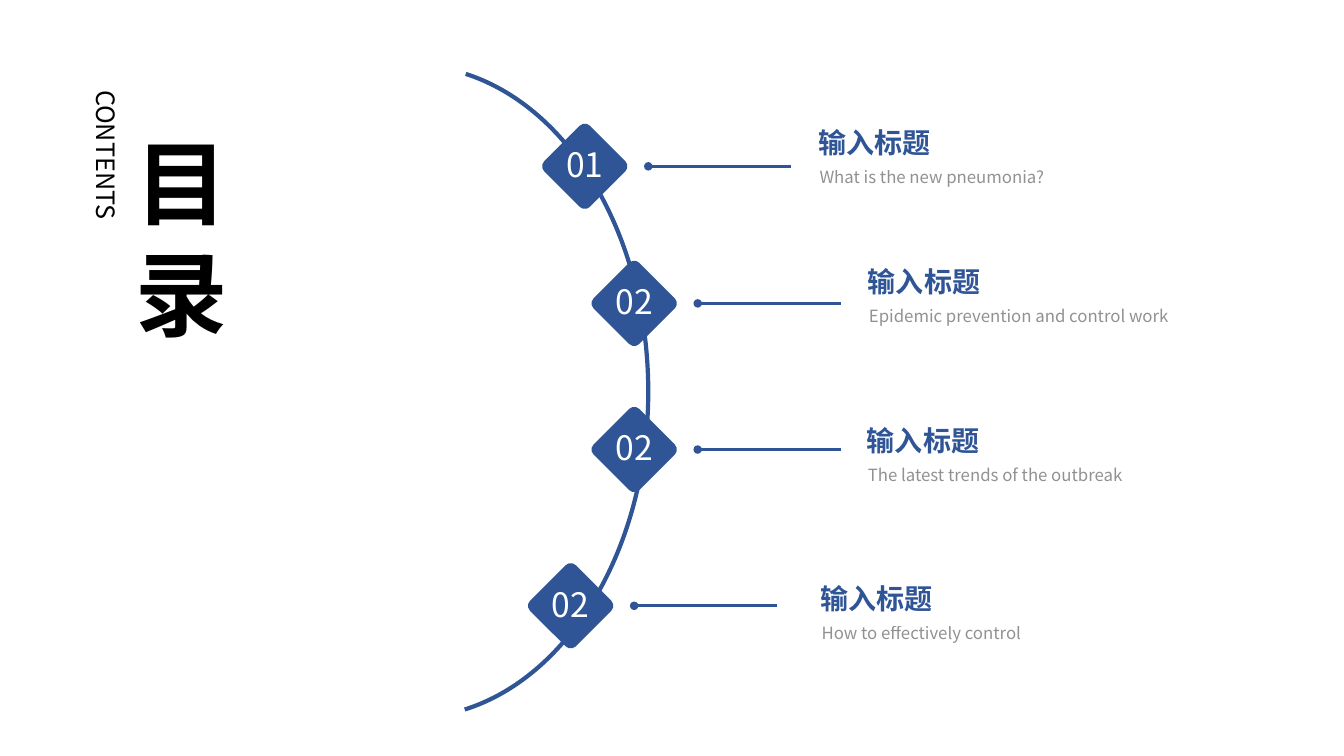
from dataclasses import dataclass

from lxml import etree
from pptx import Presentation
from pptx.dml.color import RGBColor
from pptx.enum.shapes import MSO_CONNECTOR, MSO_SHAPE
from pptx.enum.text import PP_ALIGN
from pptx.oxml.ns import qn
from pptx.slide import Slide
from pptx.util import Pt

PX = 9144
FONT = "Noto Sans CJK SC"
BLUE, GRAY, BLACK, WHITE = "2F5597", "808080", "000000", "FFFFFF"
ARC, DIAMOND = MSO_SHAPE.ARC, MSO_SHAPE.ROUNDED_RECTANGLE
STRAIGHT = MSO_CONNECTOR.STRAIGHT
LEFT, CENTER = PP_ALIGN.LEFT, PP_ALIGN.CENTER
DIAMOND_SIDE = 64
LEADER_START, LEADER_END = 63, 205


@dataclass(frozen=True)
class Chapter:
    """One entry, with the centre of its diamond and the corner of its title."""

    number: str
    subtitle: str
    x: int
    y: int
    title_x: int
    title_y: int
    title: str = "输入标题"


@dataclass(frozen=True)
class Style:
    """The look of a text."""

    size: int
    color: str
    bold: bool = False
    align: PP_ALIGN = LEFT
    opacity: int = 100
    wrap: bool = False


NUMBER = Style(24, WHITE, align=CENTER)
TITLE = Style(20, BLUE, bold=True)
SUBTITLE = Style(12, GRAY, opacity=86, wrap=True)
HEADING = Style(66, BLACK, bold=True)
CAPTION = Style(18, BLACK, wrap=True)

CHAPTERS = [
    Chapter("01", "What is the new pneumonia?", 580, 165, 802, 120),
    Chapter("02", "Epidemic prevention and control work", 629, 301, 851, 257),
    Chapter("02", "The latest trends of the outbreak", 629, 446, 850, 415),
    Chapter("02", "How to effectively control", 566, 601, 804, 572),
]


def rgb(color: str) -> RGBColor:
    """Turn a hex string into a colour."""
    return RGBColor.from_string(color)


def add_text(slide: Slide, lines: list[str], x: int, y: int, width: int,
             height: int, style: Style, rotation: int = 0) -> None:
    """Write one paragraph per line in a text box."""
    box = slide.shapes.add_textbox(x * PX, y * PX, width * PX, height * PX)
    box.rotation = rotation
    frame = box.text_frame
    frame.word_wrap = style.wrap
    frame.text = "\n".join(lines)
    for paragraph in frame.paragraphs:
        paragraph.alignment = style.align
        font = paragraph.font
        font.size = Pt(style.size)
        font.bold = style.bold
        font.name = FONT
        font.color.rgb = rgb(style.color)
        properties = paragraph._p.pPr.find(qn("a:defRPr"))
        etree.SubElement(properties, qn("a:ea"), typeface=FONT)
        if style.opacity < 100:
            tint = properties.find(".//" + qn("a:srgbClr"))
            etree.SubElement(tint, qn("a:alpha"), val=str(style.opacity * 1000))


def add_arc(slide: Slide) -> None:
    """Draw the curve that carries the chapters."""
    curve = slide.shapes.add_shape(ARC, 175 * PX, 65 * PX, 468 * PX, 647 * PX)
    curve.adjustments[0] = 167.72
    curve.adjustments[1] = 48.39
    curve.shadow.inherit = False
    curve.fill.background()
    curve.line.color.rgb = rgb(BLUE)
    curve.line.width = Pt(3)


def add_leader(slide: Slide, start: int, end: int, y: int) -> None:
    """Draw a level line that starts with a dot."""
    leader = slide.shapes.add_connector(STRAIGHT, start * PX, y * PX, end * PX, y * PX)
    leader.line.color.rgb = rgb(BLUE)
    leader.line.width = Pt(2)
    etree.SubElement(leader.line._get_or_add_ln(), qn("a:headEnd"), type="oval")
    etree.SubElement(leader._element.spPr, qn("a:effectLst"))


def add_chapter(slide: Slide, chapter: Chapter) -> None:
    """Draw a numbered diamond with its leader, title and subtitle."""
    half = DIAMOND_SIDE // 2
    diamond = slide.shapes.add_shape(
        DIAMOND, (chapter.x - half) * PX, (chapter.y - half) * PX,
        DIAMOND_SIDE * PX, DIAMOND_SIDE * PX)
    diamond.adjustments[0] = 0.11
    diamond.rotation = 45
    diamond.shadow.inherit = False
    diamond.fill.solid()
    diamond.fill.fore_color.rgb = rgb(BLUE)
    diamond.line.fill.background()
    add_text(slide, [chapter.number], chapter.x - 30, chapter.y - 27, 60, 50, NUMBER)
    add_leader(slide, chapter.x + LEADER_START, chapter.x + LEADER_END, chapter.y)
    add_text(slide, [chapter.title], chapter.title_x, chapter.title_y, 131, 44, TITLE)
    add_text(slide, [chapter.subtitle], chapter.title_x + 1, chapter.title_y + 41,
             410, 30, SUBTITLE)


def main() -> None:
    """Build the contents slide."""
    deck = Presentation()
    deck.slide_width, deck.slide_height = 1333 * PX, 750 * PX
    slide = deck.slides.add_slide(deck.slide_layouts[6])
    add_text(slide, ["CONTENTS"], 22, 143, 167, 40, CAPTION, rotation=90)
    add_text(slide, ["目", "录"], 125, 120, 112, 232, HEADING)
    add_arc(slide)
    for chapter in CHAPTERS:
        add_chapter(slide, chapter)
    deck.save("out.pptx")


if __name__ == "__main__":
    main()
